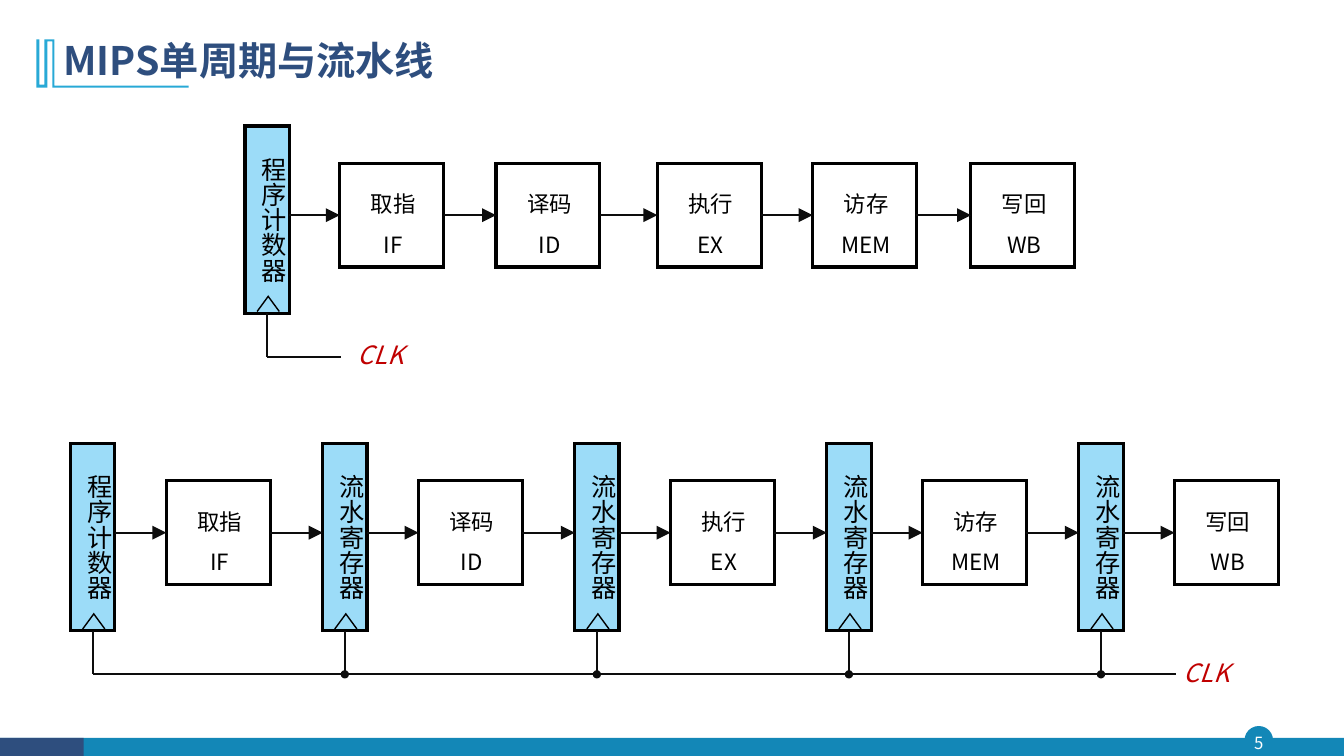
from pptx import Presentation
from pptx.dml.color import RGBColor
from pptx.enum.shapes import MSO_CONNECTOR as CONN, MSO_SHAPE as SHAPE
from pptx.enum.text import MSO_ANCHOR as ANCHOR, MSO_AUTO_SIZE as AUTO, PP_ALIGN as ALIGN
from pptx.oxml.ns import qn
from pptx.util import Inches, Pt
from lxml import etree

FONT = "Noto Sans CJK SC"
BLACK, INK, RED, WHITE = "000000", "0D0D0D", "C00000", "FFFFFF"
NAVY, TEAL, CYAN, SKY = "2E4E7E", "1387B7", "28A9D6", "9CDCF8"

WIDTH, HEIGHT = 13.33, 7.5
SINGLE_TOP, ROW_PITCH = 1.25, 3.15
PIPE_LEFT, PIPE_PITCH = 0.7, 2.5
REG_W, REG_H = 0.44, 1.86
STAGE, STAGE_DX, STAGE_DY = 1.03, 0.95, 0.37
AXIS_DY, BUS_DY, CLK_DY = STAGE_DY + STAGE / 2, 2.29, 2.07
SINGLE_REG = 2.43
SINGLE_STAGES = [3.37, 4.92, 6.52, 8.06, 9.63]
STAGES = [("取指", "IF"), ("译码", "ID"), ("执行", "EX"), ("访存", "MEM"), ("写回", "WB")]


def color(value):
    return RGBColor.from_string(value)


def box(*lengths):
    return [Inches(v) for v in lengths]


def add_xml(parent, tag, **attributes):
    return etree.SubElement(parent, qn(tag), attributes)


def paint(sp, fill, line=None, weight=1):
    sp.shadow.inherit = False
    if fill:
        sp.fill.solid()
        sp.fill.fore_color.rgb = color(fill)
    else:
        sp.fill.background()
    if line:
        sp.line.color.rgb = color(line)
        sp.line.width = Pt(weight)
        add_xml(sp.element.spPr.find(qn("a:ln")), "a:miter", lim="800000")
    else:
        sp.line.fill.background()
    return sp


def add_block(slide, kind, at, fill, line=None, weight=1):
    return paint(slide.shapes.add_shape(kind, *box(*at)), fill, line, weight)


def add_outline(slide, points, fill=None, line=None, close=True):
    start, *rest = [box(*point) for point in points]
    builder = slide.shapes.build_freeform(*start)
    builder.add_line_segments(rest, close=close)
    return paint(builder.convert_to_shape(), fill, line)


def write(tf, lines, size, tint, align=ALIGN.CENTER, spacing=None, frame=None, **style):
    for name, value in (frame or {}).items():
        setattr(tf, name, value)
    for i, text in enumerate(lines):
        p = tf.add_paragraph() if i else tf.paragraphs[0]
        p.alignment = align
        p.line_spacing = spacing
        r = p.add_run()
        r.text = text
        for name, value in {"name": FONT, "size": Pt(size), **style}.items():
            setattr(r.font, name, value)
        r.font.color.rgb = color(tint)
        add_xml(r._r.get_or_add_rPr(), "a:ea", typeface=FONT)


def add_label(slide, at, text, tint, align=ALIGN.CENTER, vertical=False, **style):
    sp = slide.shapes.add_textbox(*box(*at))
    if vertical:
        sp.element.txBody.bodyPr.set("vert", "eaVert")
    frame = {"word_wrap": False, "auto_size": AUTO.SHAPE_TO_FIT_TEXT}
    write(sp.text_frame, [text], 18, tint, align, frame=frame, **style)


def add_wire(slide, start, end, tail=None, size="med", source=None, target=None):
    wire = slide.shapes.add_connector(CONN.STRAIGHT, *box(*start, *end))
    wire.line.color.rgb = color(INK)
    wire.line.width = Pt(1.5)
    if tail:
        add_xml(wire.element.spPr.find(qn("a:ln")), "a:tailEnd", type=tail, w=size, len=size)
    add_xml(wire.element.spPr, "a:effectLst")
    if source:
        wire.begin_connect(*source)
    if target:
        wire.end_connect(*target)


def add_arrow(slide, left, right, axis, source=None, target=None):
    add_wire(slide, (left, axis), (right, axis), "triangle", "lg", source, target)


def add_register(slide, x, top, name):
    sp = add_block(slide, SHAPE.RECTANGLE, (x, top, REG_W, REG_H), SKY, BLACK, 2.25)
    add_label(slide, (x - 0.02, top + 0.21, 0.5, 1.36), name, BLACK, vertical=True)
    mid = x + 0.23
    notch = [(mid - 0.11, top + 1.84), (mid, top + 1.69), (mid + 0.11, top + 1.84)]
    add_outline(slide, notch, line=BLACK, close=False)
    return sp


def add_stage(slide, x, top, names):
    at = (x, top + STAGE_DY, STAGE, STAGE)
    sp = add_block(slide, SHAPE.RECTANGLE, at, WHITE, BLACK, 2.25)
    frame = {"vertical_anchor": ANCHOR.MIDDLE, "word_wrap": True,
             "margin_left": Inches(0.12), "margin_right": Inches(0.09),
             "margin_top": Inches(0.09), "margin_bottom": Inches(0.05)}
    write(sp.text_frame, names, 16, BLACK, spacing=1.5, frame=frame)
    return sp


def add_clock(slide, register, x, top, tail=None):
    mid = x + REG_W / 2
    add_wire(slide, (mid, top + REG_H), (mid, top + BUS_DY), tail, source=(register, 2))


def add_bus(slide, x, end, top, label_x):
    add_wire(slide, (end, top + BUS_DY), (x + REG_W / 2, top + BUS_DY))
    add_label(slide, (label_x, top + CLK_DY, 0.66, 0.4), "CLK", RED, ALIGN.LEFT, italic=True)


def draw_single_cycle(slide, top):
    axis = top + AXIS_DY
    register = add_register(slide, SINGLE_REG, top, "程序计数器")
    add_clock(slide, register, SINGLE_REG, top)
    add_bus(slide, SINGLE_REG, 3.38, top, 3.45)
    previous, edge = None, SINGLE_REG + REG_W
    for x, names in zip(SINGLE_STAGES, STAGES):
        stage = add_stage(slide, x, top, names)
        source = (previous, 3) if previous else None
        add_arrow(slide, edge, x, axis, source, (stage, 1))
        previous, edge = stage, x + STAGE


def draw_pipeline(slide, top):
    axis = top + AXIS_DY
    previous, edge = None, None
    for i, names in enumerate(STAGES):
        x = PIPE_LEFT + i * PIPE_PITCH
        register = add_register(slide, x, top, "流水寄存器" if i else "程序计数器")
        add_clock(slide, register, x, top, "oval" if i else None)
        if previous:
            add_arrow(slide, edge, x, axis, (previous, 3))
        left = x + STAGE_DX
        stage = add_stage(slide, left, top, names)
        add_arrow(slide, x + REG_W, left, axis, target=(stage, 1))
        previous, edge = stage, left + STAGE
    add_bus(slide, PIPE_LEFT, 11.66, top, 11.64)


def draw_frame(slide):
    add_block(slide, SHAPE.RECTANGLE, (0, 7.32, WIDTH, 0.18), TEAL)
    add_block(slide, SHAPE.RECTANGLE, (0, 7.32, 0.83, 0.18), NAVY)
    page = add_block(slide, SHAPE.OVAL, (12.35, 7.21, 0.27, 0.27), TEAL, TEAL)
    frame = {"margin_left": 0, "margin_right": 0, "margin_top": Inches(0.04),
             "margin_bottom": 0, "word_wrap": False, "vertical_anchor": ANCHOR.MIDDLE}
    write(page.text_frame, ["5"], 12, WHITE, frame=frame)
    bracket = [(0.54, 0.39), (0.54, 0.85), (1.87, 0.85), (1.87, 0.87), (0.52, 0.87),
               (0.52, 0.41), (0.47, 0.41), (0.47, 0.87), (0.36, 0.87), (0.36, 0.39),
               (0.39, 0.39), (0.39, 0.84), (0.44, 0.84), (0.44, 0.39)]
    add_outline(slide, bracket, CYAN)


def set_title(slide, text):
    title = slide.shapes.title
    title.left, title.top, title.width, title.height = box(0.53, 0.28, 11.5, 0.68)
    frame = {"vertical_anchor": ANCHOR.MIDDLE, "word_wrap": True}
    write(title.text_frame, [text], 28, NAVY, ALIGN.LEFT, 0.9, frame, bold=True)


def main():
    prs = Presentation()
    prs.slide_width, prs.slide_height = box(WIDTH, HEIGHT)
    slide = prs.slides.add_slide(prs.slide_layouts[5])
    draw_frame(slide)
    set_title(slide, "MIPS单周期与流水线")
    draw_single_cycle(slide, SINGLE_TOP)
    draw_pipeline(slide, SINGLE_TOP + ROW_PITCH)
    prs.save("out.pptx")


if __name__ == "__main__":
    main()
